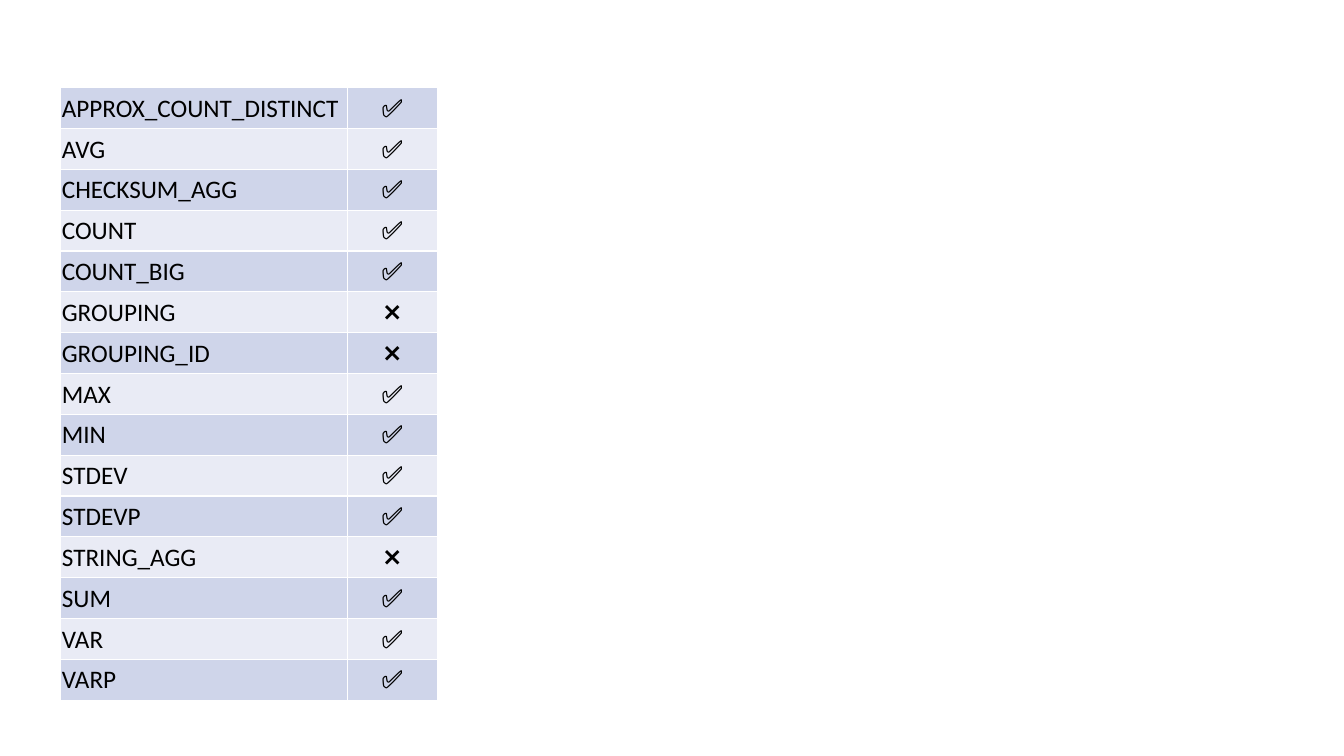
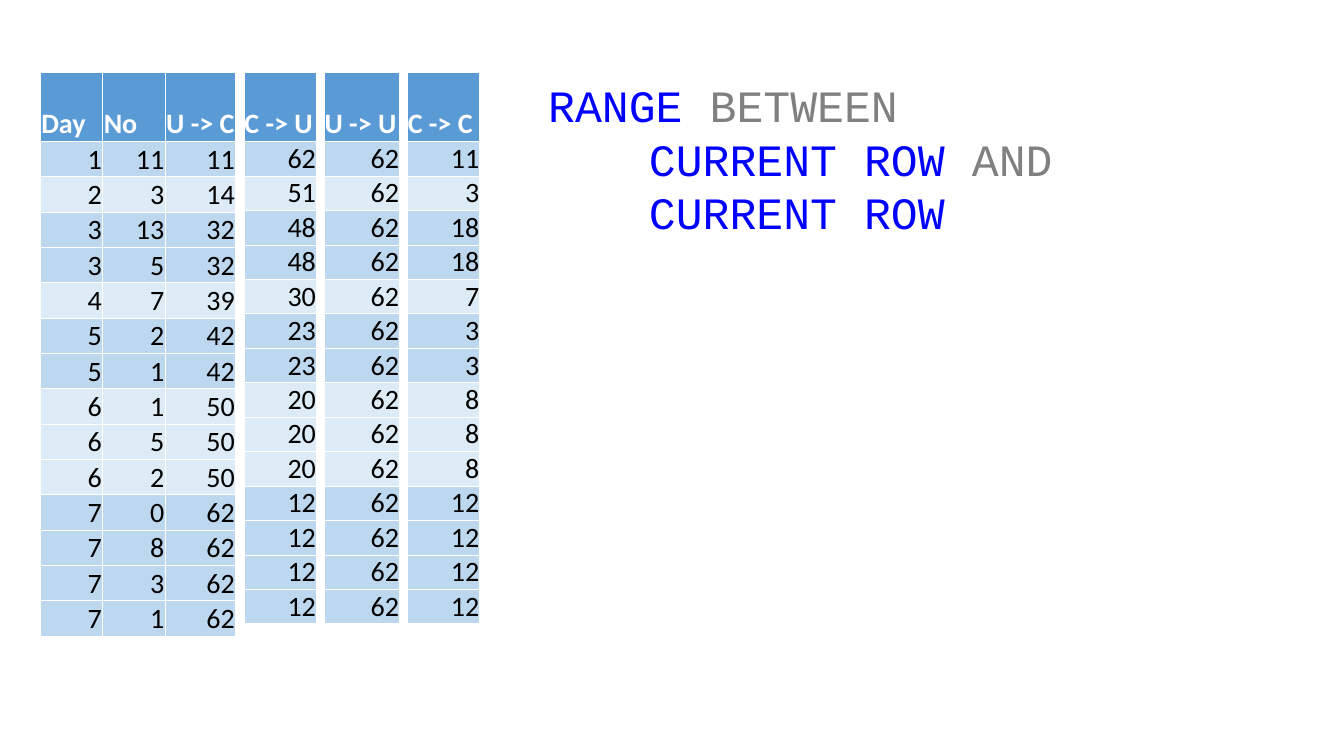
from lxml import etree
from pptx import Presentation
from pptx.dml.color import RGBColor
from pptx.enum.text import MSO_ANCHOR, MSO_AUTO_SIZE, PP_ALIGN
from pptx.oxml.ns import qn
from pptx.util import Inches, Pt

LEFT, MID, RIGHT = PP_ALIGN.LEFT, PP_ALIGN.CENTER, PP_ALIGN.RIGHT
CENTRE, BASE = MSO_ANCHOR.MIDDLE, MSO_ANCHOR.BOTTOM
GROW = MSO_AUTO_SIZE.SHAPE_TO_FIT_TEXT

HUES = {
    "white": "FFFFFF", "black": "000000",
    "mauve": "CFD5EA", "pale": "E9EBF5",
    "head": "5B9BD5", "odd": "BDD7EE", "even": "DDEBF7",
    "key": "0000FF", "word": "808080",
}
WIDE, HIGH = Inches(13.333), Inches(7.5)
TAB = Inches(1)

YES, NO = "✅", "❌"
AGGS = ["APPROX_COUNT_DISTINCT", "AVG", "CHECKSUM_AGG", "COUNT", "COUNT_BIG",
        "GROUPING", "GROUPING_ID", "MAX", "MIN", "STDEV", "STDEVP",
        "STRING_AGG", "SUM", "VAR", "VARP"]
BARRED = {"GROUPING", "GROUPING_ID", "STRING_AGG"}

DAYS = [1, 2, 3, 3, 4, 5, 5, 6, 6, 6, 7, 7, 7, 7]
NUMS = [11, 3, 13, 5, 7, 2, 1, 1, 5, 2, 0, 8, 3, 1]
FRAMES = {
    "U -> C": lambda day, now: day <= now,
    "C -> U": lambda day, now: day >= now,
    "U -> U": lambda day, now: True,
    "C -> C": lambda day, now: day == now,
}
CODE = [
    [("RANGE ", "key"), ("BETWEEN", "word")],
    [("\t", "black"), ("CURRENT ROW ", "key"), ("AND", "word")],
    [("\t", "black"), ("CURRENT ROW", "key")],
]


def across(share):
    """Length of a percentage of the slide's width."""
    return int(WIDE * share / 100)


def down(share):
    """Length of a percentage of the slide's height."""
    return int(HIGH * share / 100)


def style(run, hue, **form):
    run.font.color.rgb = RGBColor.from_string(HUES[hue])
    for name, value in form.items():
        setattr(run.font, name, value)


def edge(cell, width):
    """Draw white lines on the four sides of a cell."""
    props = cell._tc.get_or_add_tcPr()
    for side in ("a:lnL", "a:lnR", "a:lnT", "a:lnB"):
        line = etree.SubElement(props, qn(side), w=str(Pt(width)))
        fill = etree.SubElement(line, qn("a:solidFill"))
        etree.SubElement(fill, qn("a:srgbClr"), val=HUES["white"])


def paint(cell, text, fill, ink, align, form, line, slots):
    for name, value in slots.items():
        setattr(cell, name, value)
    edge(cell, line)
    cell.fill.solid()
    cell.fill.fore_color.rgb = RGBColor.from_string(HUES[fill])
    para = cell.text_frame.paragraphs[0]
    para.alignment = align
    run = para.add_run()
    run.text = str(text)
    style(run, ink, name="Calibri", **form)


def grid(slide, box, cols, rows):
    """Add a plain table; cols and rows are relative weights."""
    left, top, width, height = box
    table = slide.shapes.add_table(
        len(rows), len(cols), across(left), down(top),
        across(width), down(height)).table
    table.first_row = table.horz_banding = False
    for col, part in zip(table.columns, cols):
        col.width = across(width * part / sum(cols))
    for row, part in zip(table.rows, rows):
        row.height = down(height * part / sum(rows))
    return table


def slots(pad, anchor):
    return {"margin_left": Inches(pad), "margin_right": Inches(pad),
            "margin_top": Inches(pad), "margin_bottom": 0,
            "vertical_anchor": anchor}


def support(slide, box):
    """List of aggregates, each with a tick or a cross."""
    table = grid(slide, box, [2.84, 0.89], [1] * len(AGGS))
    for r, name in enumerate(AGGS):
        fill = "pale" if r % 2 else "mauve"
        mark = NO if name in BARRED else YES
        for c, (text, align) in enumerate([(name, LEFT), (mark, MID)]):
            paint(table.cell(r, c), text, fill, "black", align,
                  {"size": Pt(18)}, 1, slots(0.01, CENTRE))


def totals(test):
    """Sum the numbers whose day lies in the frame of each row."""
    return [sum(n for d, n in zip(DAYS, NUMS) if test(d, now))
            for now in DAYS]


def sums(slide, box, fields, cols, pad):
    """Table of named columns, shaded by odd and even day."""
    table = grid(slide, box, cols, [2] + [1] * len(DAYS))
    for c, (name, values) in enumerate(fields.items()):
        paint(table.cell(0, c), name, "head", "white", LEFT,
              {"size": Pt(20), "bold": True}, 0.5, slots(pad, BASE))
        for r, (day, value) in enumerate(zip(DAYS, values), 1):
            paint(table.cell(r, c), value, "odd" if day % 2 else "even",
                  "black", RIGHT, {"size": Pt(20), "bold": False}, 0.5,
                  slots(pad, BASE))


def frames(slide, left, top, height, gap):
    """Row of tables: the days with their first frame, then one per frame."""
    fields = {name: totals(test) for name, test in FRAMES.items()}
    first = "U -> C"
    main = {"Day": DAYS, "No": NUMS, first: fields.pop(first)}
    parts = [(main, [4.65, 4.65, 5.25], 0.01)]
    parts += [({name: values}, [width], 0) for (name, values), width
              in zip(fields.items(), [5.32, 5.55, 5.32])]
    for group, cols, pad in parts:
        width = sum(cols)
        sums(slide, (left, top, width, height), group, cols, pad)
        left += width + gap


def code(slide, box):
    left, top, width, height = box
    frame = slide.shapes.add_textbox(
        across(left), down(top), across(width), down(height)).text_frame
    frame.word_wrap = True
    frame.auto_size = GROW
    for i, parts in enumerate(CODE):
        para = frame.add_paragraph() if i else frame.paragraphs[0]
        stops = etree.SubElement(para._p.get_or_add_pPr(), qn("a:tabLst"))
        etree.SubElement(stops, qn("a:tab"), pos=str(TAB), algn="l")
        for text, hue in parts:
            run = para.add_run()
            run.text = text
            style(run, hue, name="Courier New", size=Pt(32))


def main():
    deck = Presentation()
    deck.slide_width, deck.slide_height = WIDE, HIGH
    blank = deck.slide_layouts[6]
    support(deck.slides.add_slide(blank), (4.53, 11.6, 28, 81.07))
    slide = deck.slides.add_slide(blank)
    frames(slide, left=3, top=9.6, height=72.93, gap=0.64)
    code(slide, (40.05, 9.6, 52, 22.93))
    deck.save("out.pptx")


if __name__ == "__main__":
    main()
